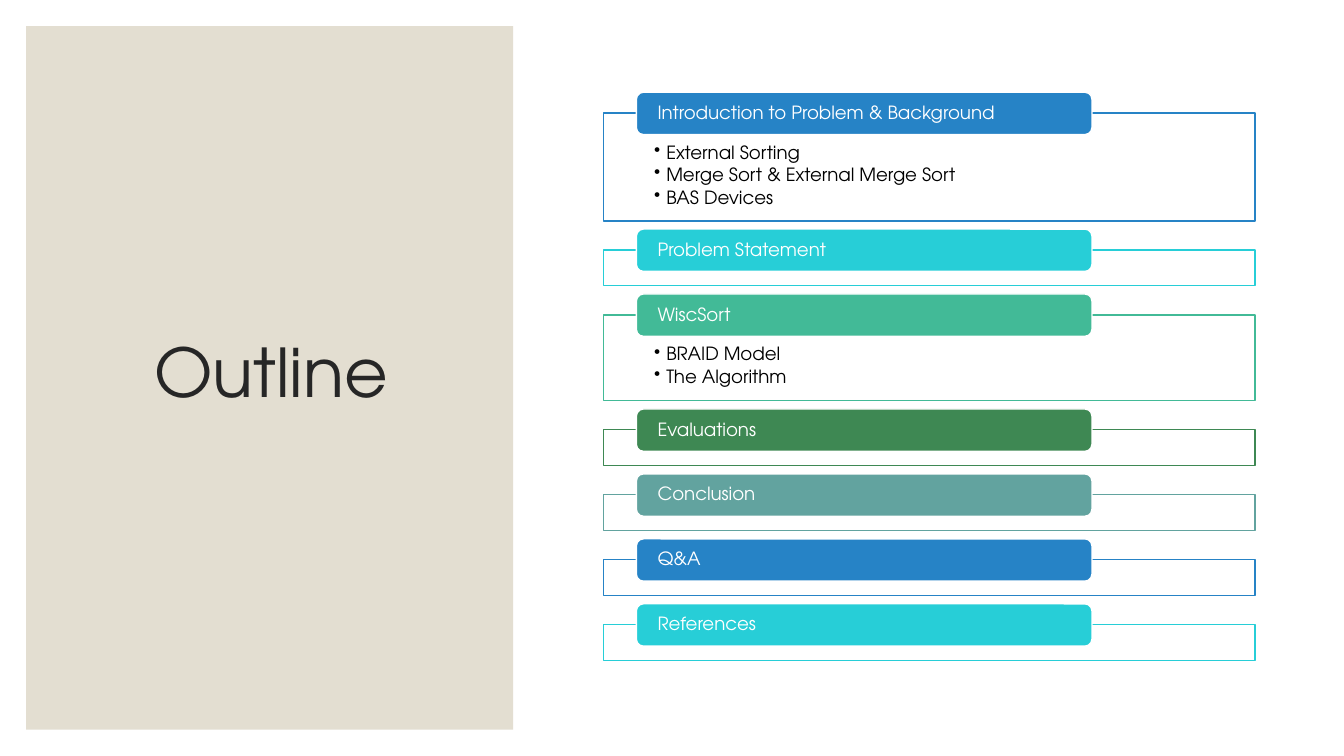
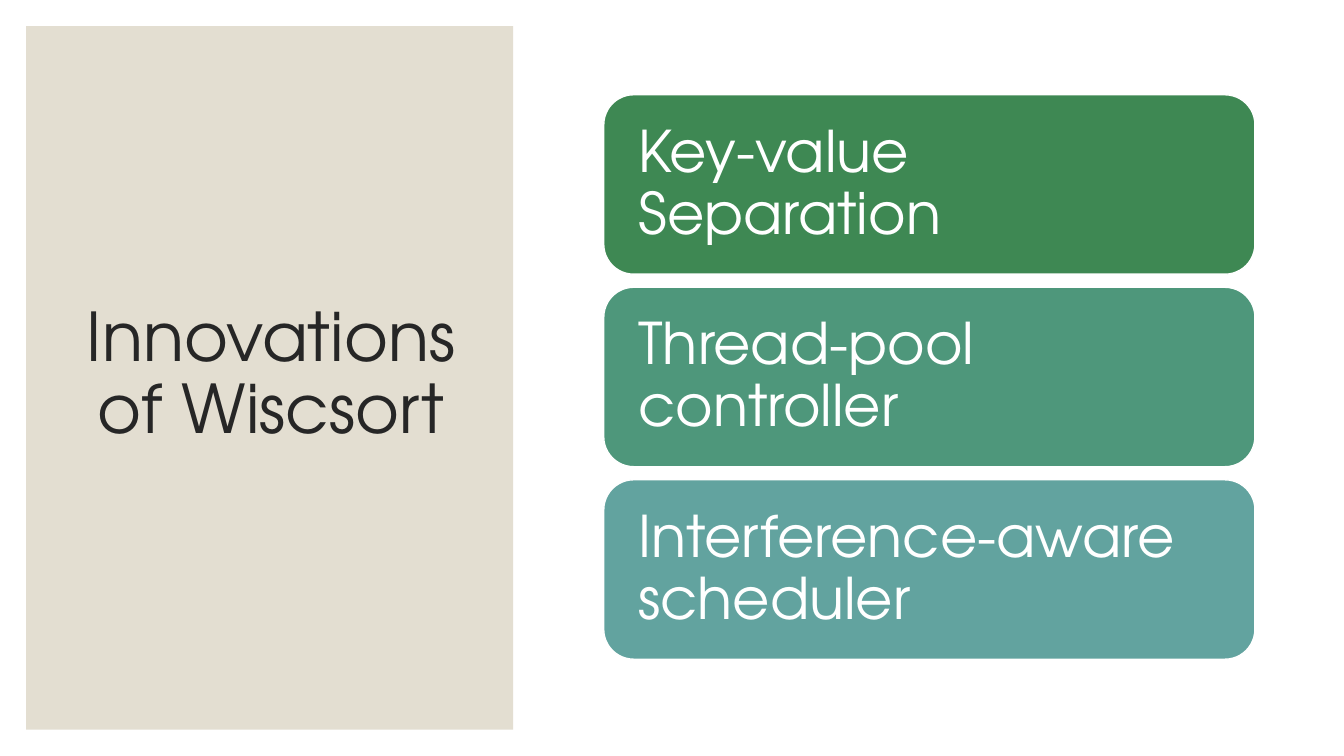
from dataclasses import dataclass
from lxml.etree import SubElement
from pptx import Presentation
from pptx.dml.color import RGBColor as Color
from pptx.enum.shapes import MSO_SHAPE as Shape
from pptx.enum.text import MSO_ANCHOR as Anchor, PP_ALIGN as Align
from pptx.oxml.ns import qn
from pptx.util import Inches, Pt


@dataclass(frozen=True)
class Theme:
    font: str = "TeX Gyre Adventor"
    white: str = "FFFFFF"
    black: str = "000000"
    ink: str = "262626"
    sand: str = "E3DED1"
    blue: str = "2683C6"
    cyan: str = "27CED7"
    mint: str = "42BA97"
    green: str = "3E8853"
    sage: str = "4E977B"
    teal: str = "62A39F"
    title_size: int = 48
    card_size: int = 41
    list_size: int = 13


THEME = Theme()
COLUMNS, ROWS = 160, 90
MARGIN = 3.12
CONTENT_LEFT, CONTENT_WIDTH = 71.88, 77.52


class Deck:
    def __init__(self, theme):
        self.theme = theme
        self.show = Presentation()
        self.show.slide_width, self.show.slide_height = Inches(13.33), Inches(7.5)
        self.page = None

    def across(self, columns):
        return round(self.show.slide_width * columns / COLUMNS)

    def down(self, rows):
        return round(self.show.slide_height * rows / ROWS)

    def area(self, left, top, width, height):
        return self.across(left), self.down(top), self.across(width), self.down(height)

    def new_page(self, title):
        self.page = self.show.slides.add_slide(self.show.slide_layouts[6])
        self.block((MARGIN, MARGIN, 57.96, ROWS - 2 * MARGIN), self.theme.sand)
        box = self.page.shapes.add_textbox(*self.area(7.56, 7.32, 49.44, 74.88))
        self.put_text(box, [title], self.theme.title_size, self.theme.ink,
                      (1.2, 0.6, 1.2, 0.6), align=Align.CENTER)

    def block(self, place, fill, line=None, kind=Shape.RECTANGLE):
        shape = self.page.shapes.add_shape(kind, *self.area(*place))
        shape.shadow.inherit = False
        shape.fill.solid()
        shape.fill.fore_color.rgb = Color.from_string(fill)
        if line:
            shape.line.color.rgb = Color.from_string(line)
            shape.line.width = Pt(1)
        else:
            shape.line.fill.background()
        return shape

    def put_text(self, box, lines, size, color, insets, anchor=Anchor.MIDDLE,
                 align=Align.LEFT, bullet=False):
        frame = box.text_frame
        left, top, right, bottom = insets
        frame_format = {
            "word_wrap": True, "vertical_anchor": anchor,
            "margin_left": self.across(left), "margin_right": self.across(right),
            "margin_top": self.down(top), "margin_bottom": self.down(bottom),
        }
        para_format = {"alignment": align, "line_spacing": 0.9,
                       "space_after": Pt(2 if bullet else 0)}
        font_format = {"name": self.theme.font, "size": Pt(size)}
        self.apply(frame, frame_format)
        for index, line in enumerate(lines):
            para = frame.add_paragraph() if index else frame.paragraphs[0]
            self.apply(para, para_format)
            span = para.add_run()
            span.text = line
            self.apply(span.font, font_format)
            span.font.color.rgb = Color.from_string(color)
            if bullet:
                self.add_bullet(para)

    def add_bullet(self, para):
        indent = self.across(1.44)
        properties = para._p.get_or_add_pPr()
        properties.set("marL", str(indent))
        properties.set("indent", str(-indent))
        SubElement(properties, qn("a:buChar")).set("char", "•")

    @staticmethod
    def apply(target, values):
        for name, value in values.items():
            setattr(target, name, value)

    def section(self, top, heading, items, color):
        overlap, tab_height = 2.48, 5.04
        height = 5.04 + 2.6 * len(items) if items else 4.28
        frame = self.block((CONTENT_LEFT, top + overlap, CONTENT_WIDTH, height),
                           self.theme.white, color)
        if items:
            self.put_text(frame, items, self.theme.list_size, self.theme.black,
                          (6, 3.6, 6, 1.2), anchor=Anchor.TOP, bullet=True)
        tab = self.block((CONTENT_LEFT + 3.88, top, 54.24, tab_height),
                         color, self.theme.white, Shape.ROUNDED_RECTANGLE)
        self.put_text(tab, [heading], self.theme.list_size, self.theme.white,
                      (2.28, 0, 2.28, 0))
        return top + overlap + height

    def card(self, top, text, color):
        shape = self.block((CONTENT_LEFT, top, CONTENT_WIDTH, 21.36),
                           color, self.theme.white, Shape.ROUNDED_RECTANGLE)
        self.put_text(shape, [text], self.theme.card_size, self.theme.white,
                      (3.1, 3, 3.1, 3))


def main():
    deck = Deck(THEME)

    deck.new_page("Outline")
    sections = [
        ("Introduction to Problem & Background",
         ["External Sorting", "Merge Sort & External Merge Sort", "BAS Devices"],
         THEME.blue),
        ("Problem Statement", [], THEME.cyan),
        ("WiscSort", ["BRAID Model", "The Algorithm"], THEME.mint),
        ("Evaluations", [], THEME.green),
        ("Conclusion", [], THEME.teal),
        ("Q&A", [], THEME.blue),
        ("References", [], THEME.cyan),
    ]
    top, gap = 10.98, 0.97
    for heading, items, color in sections:
        top = deck.section(top, heading, items, color) + gap

    deck.new_page("Innovations of Wiscsort")
    cards = [
        ("Key-value Separation", THEME.green),
        ("Thread-pool controller", THEME.sage),
        ("Interference-aware scheduler", THEME.teal),
    ]
    for index, (text, color) in enumerate(cards):
        deck.card(11.28 + 22.92 * index, text, color)

    deck.show.save("out.pptx")


if __name__ == "__main__":
    main()
